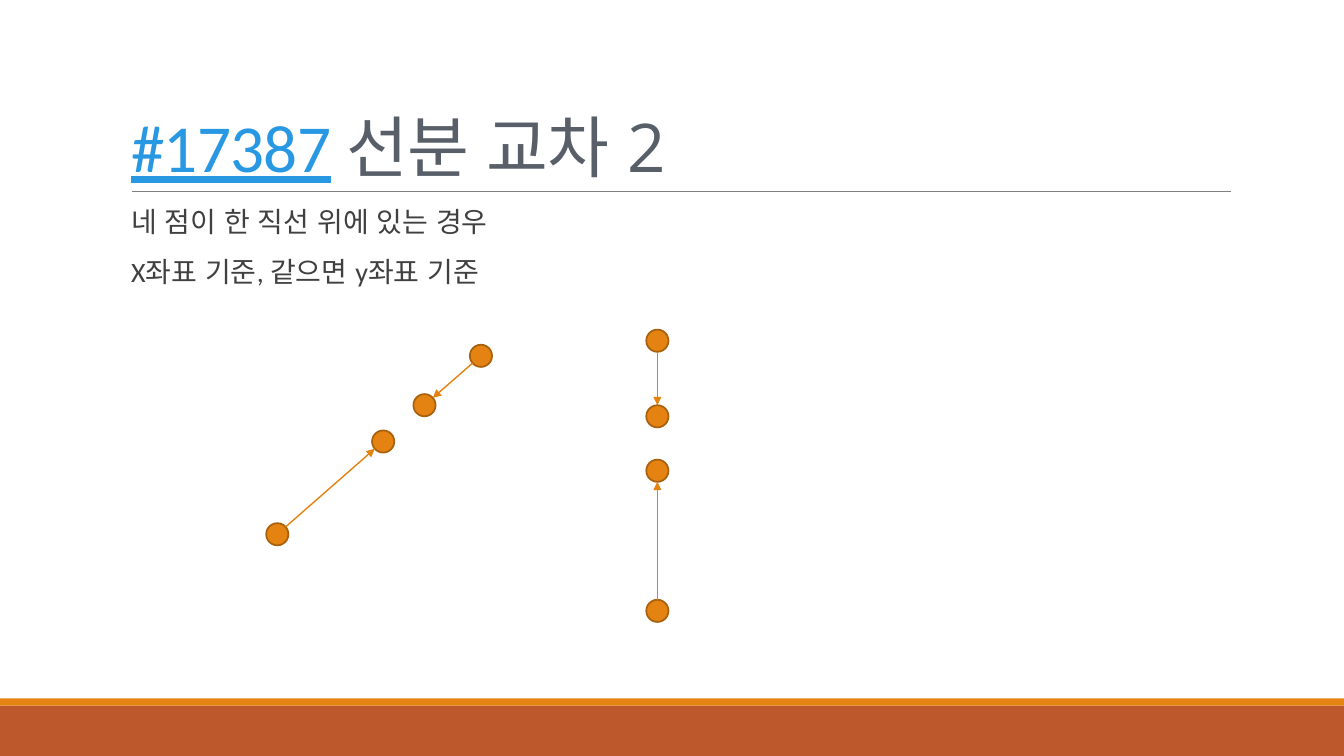
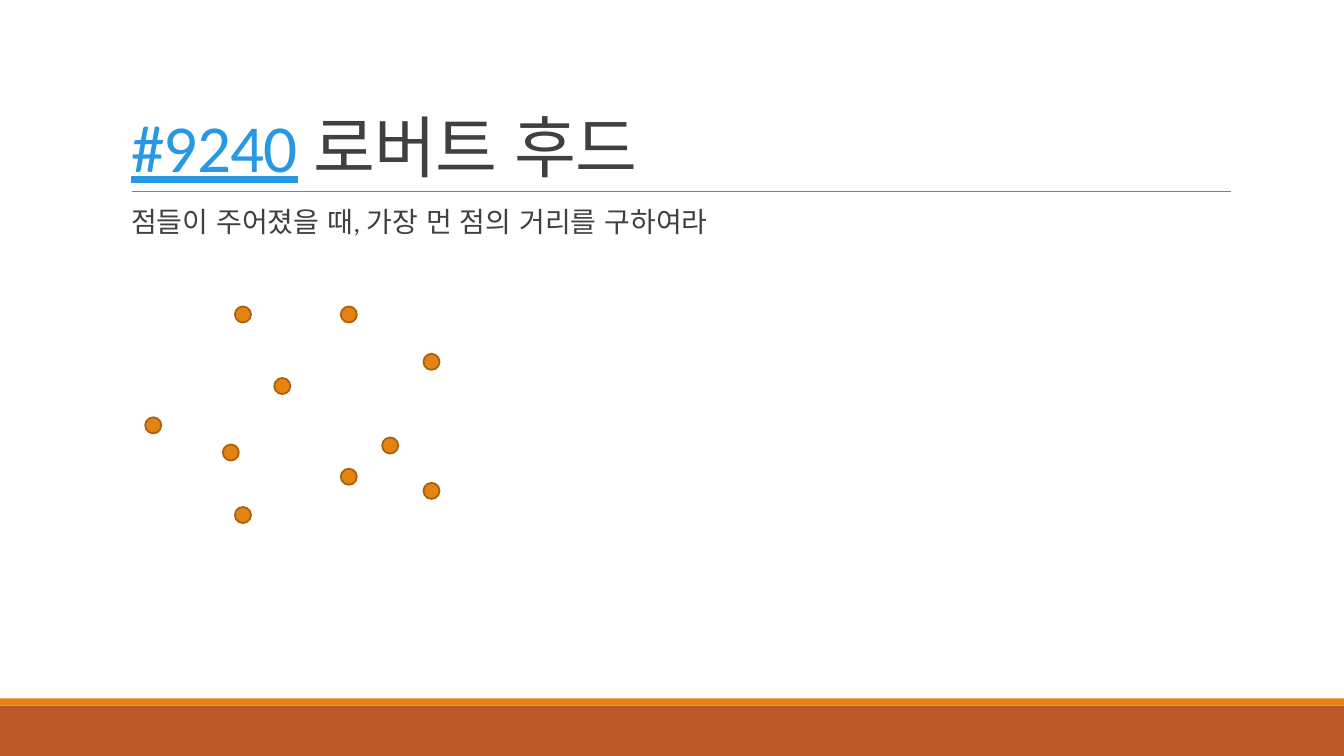
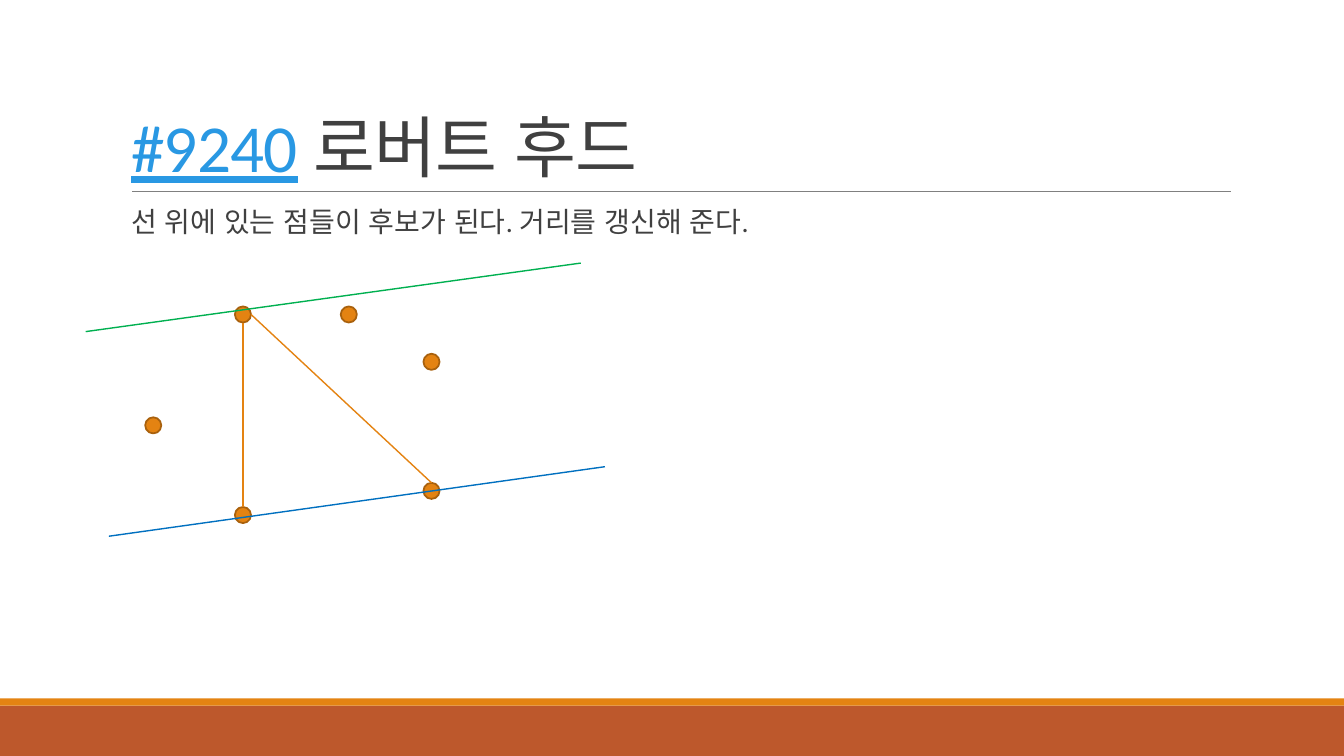
from math import hypot

from pptx import Presentation
from pptx.dml.color import RGBColor
from pptx.enum.lang import MSO_LANGUAGE_ID as Language
from pptx.enum.shapes import MSO_CONNECTOR as Connector, MSO_SHAPE as Preset
from pptx.enum.text import MSO_ANCHOR as Anchor, MSO_AUTO_SIZE as AutoSize, PP_ALIGN as Align
from pptx.oxml.ns import qn
from pptx.util import Inches, Pt
from lxml.etree import SubElement

ORANGE, RUST, DOT_EDGE = "E48312", "BD582C", "A9610D"
TEXT, SLATE, LINK, RULE = "404040", "585F69", "2998E3", "808080"
GREEN, BLUE = "00B050", "0070C0"
LATIN, TITLE_LATIN = "Calibri", "Open Sans"

WIDTH, HEIGHT = 13.33, 7.5
TITLE_AREA = (1.2, 0.31, 11, 1.59)
BODY_AREA = (1.2, 2.02, 11, 4.4)
BANDS = [((0, 7, WIDTH, 0.5), RUST), ((0, 6.93, WIDTH, 0.07), ORANGE)]
TITLE_RULE = ((1.31, 1.9), (12.21, 1.9))

# Title runs: text, colour, font
CROSSING_TITLE = [("#17387", LINK, LATIN), (" ", TEXT, LATIN),
                  ("선분 교차 2", SLATE, TITLE_LATIN)]
DISTANCE_TITLE = [("#9240", LINK, LATIN), (" 로버트 후드", TEXT, LATIN)]

# Dots are given by their centres
ARROW_RADIUS, POINT_RADIUS = 0.11, 0.08
ARROWS = [
    ((2.75, 5.3), (3.8, 4.38)),
    ((4.77, 3.53), (4.21, 4.02)),
    ((6.52, 6.06), (6.52, 4.67)),
    ((6.52, 3.38), (6.52, 4.13)),
]
HULL_POINTS = [(2.41, 5.11), (4.28, 4.87), (4.28, 3.59),
               (3.46, 3.12), (2.41, 3.12), (1.52, 4.22)]
INNER_POINTS = [(2.29, 4.49), (2.8, 3.83), (3.46, 4.73), (3.87, 4.42)]
CALIPER_LINES = [
    ((1.08, 5.32), (6, 4.63), BLUE),
    ((0.85, 3.29), (5.76, 2.61), GREEN),
    ((2.41, 3.2), (2.41, 5.03), ORANGE),
    ((2.49, 3.12), (4.28, 4.79), ORANGE),
]

# Title, body lines, dot radius, dots, plain lines, arrows
SLIDES = [
    (CROSSING_TITLE, ["네 점이 한 직선 위에 있는 경우", "X좌표 기준, 같으면 y좌표 기준"],
     ARROW_RADIUS, [dot for arrow in ARROWS for dot in arrow], [], ARROWS),
    (DISTANCE_TITLE, ["점들이 주어졌을 때, 가장 먼 점의 거리를 구하여라"],
     POINT_RADIUS, HULL_POINTS + INNER_POINTS, [], []),
    (DISTANCE_TITLE, ["선 위에 있는 점들이 후보가 된다. 거리를 갱신해 준다."],
     POINT_RADIUS, HULL_POINTS, CALIPER_LINES, []),
]


def color(value):
    """Turn a hex string into a colour."""
    return RGBColor.from_string(value)


def add_filled(page, preset, area, fill, edge=None):
    """Add a flat shape, with an outline if an edge colour is given."""
    shape = page.shapes.add_shape(preset, *map(Inches, area))
    shape.shadow.inherit = False
    shape.fill.solid()
    shape.fill.fore_color.rgb = color(fill)
    if edge:
        shape.line.color.rgb = color(edge)
        shape.line.width = Pt(1.25)
    else:
        shape.line.fill.background()
    return shape


def add_dot(page, center, radius):
    """Add a round point around its centre."""
    x, y = center
    add_filled(page, Preset.OVAL, (x - radius, y - radius, 2 * radius, 2 * radius),
               ORANGE, DOT_EDGE)


def add_line(page, start, end, stroke, width=1):
    """Add a straight line without a shadow."""
    line = page.shapes.add_connector(Connector.STRAIGHT, *map(Inches, (*start, *end)))
    line.line.color.rgb = color(stroke)
    line.line.width = Pt(width)
    SubElement(line.element.spPr, qn("a:effectLst"))
    return line


def add_arrow(page, start, end, radius):
    """Add an arrow between the edges of two dots."""
    (x1, y1), (x2, y2) = start, end
    share = radius / hypot(x2 - x1, y2 - y1)
    dx, dy = (x2 - x1) * share, (y2 - y1) * share
    arrow = add_line(page, (x1 + dx, y1 + dy), (x2 - dx, y2 - dy), ORANGE)
    SubElement(arrow.line._get_or_add_ln(), qn("a:tailEnd"), type="triangle")


def format_span(span, size, fill, font):
    """Set size, colour, font and language of a run."""
    span.font.size = Pt(size)
    span.font.color.rgb = color(fill)
    span.font.name = font
    span.font.language_id = Language.KOREAN


def place(box, area, anchor):
    """Move a placeholder and set how it holds its text."""
    box.left, box.top, box.width, box.height = map(Inches, area)
    box.text_frame.vertical_anchor = anchor
    box.text_frame.word_wrap = True
    box.text_frame.auto_size = AutoSize.NONE


def write_title(box, runs):
    """Fill the title with its coloured runs."""
    place(box, TITLE_AREA, Anchor.BOTTOM)
    para = box.text_frame.paragraphs[0]
    para.alignment = Align.LEFT
    para.line_spacing = 0.85
    for text, fill, font in runs:
        span = para.add_run()
        span.text = text
        format_span(span, 48, fill, font)
        span.font.underline = fill == LINK
        span.font._element.set("spc", "-50")


def write_body(box, lines):
    """Fill the body with one paragraph per line, behind blank bullets."""
    place(box, BODY_AREA, Anchor.TOP)
    frame = box.text_frame
    frame.margin_left = frame.margin_right = 0
    frame.text = "\n".join(lines)
    for para in frame.paragraphs:
        para.line_spacing = 0.9
        para.space_before, para.space_after = Pt(12), Pt(2)
        props = para._p.get_or_add_pPr()
        props.set("marL", str(Inches(0.1)))
        props.set("indent", str(Inches(-0.1)))
        bullet_color = SubElement(props, qn("a:buClr"))
        SubElement(bullet_color, qn("a:srgbClr"), val=ORANGE)
        SubElement(props, qn("a:buChar"), char=" ")
        format_span(para.runs[0], 20, TEXT, LATIN)


def share_frame(page, layout):
    """Draw the bands and the title rule, then hand them to the layout."""
    parts = [add_filled(page, Preset.RECTANGLE, area, fill) for area, fill in BANDS]
    parts.append(add_line(page, *TITLE_RULE, RULE, 0.5))
    for position, part in enumerate(parts, start=2):
        layout.shapes.element.insert(position, part.element)


def build_deck():
    """Build and return all slides."""
    deck = Presentation()
    deck.slide_width, deck.slide_height = Inches(WIDTH), Inches(HEIGHT)
    layout = deck.slide_layouts[1]
    for title, lines, radius, dots, plain_lines, arrows in SLIDES:
        page = deck.slides.add_slide(layout)
        write_title(page.shapes.title, title)
        write_body(page.placeholders[1], lines)
        for center in dots:
            add_dot(page, center, radius)
        for start, end, stroke in plain_lines:
            add_line(page, start, end, stroke)
        for start, end in arrows:
            add_arrow(page, start, end, radius)
    share_frame(deck.slides[0], layout)
    return deck


build_deck().save("out.pptx")
